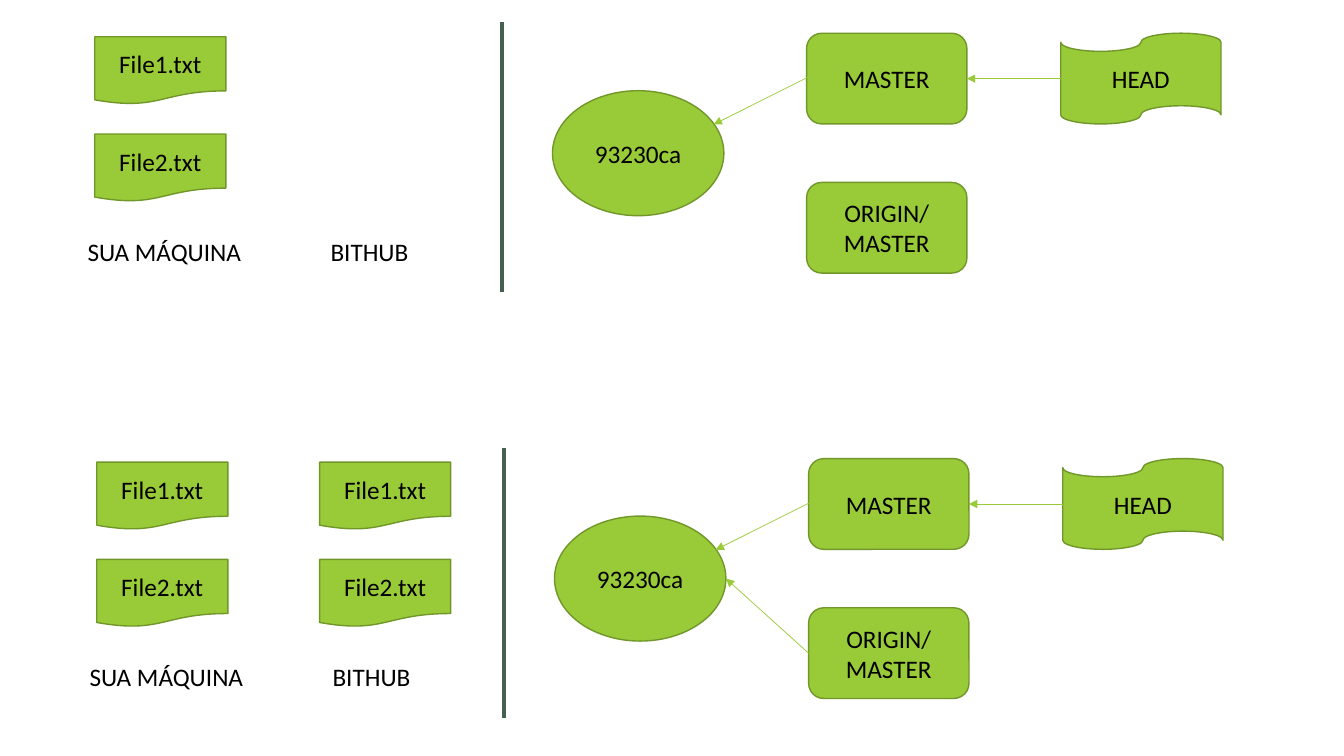
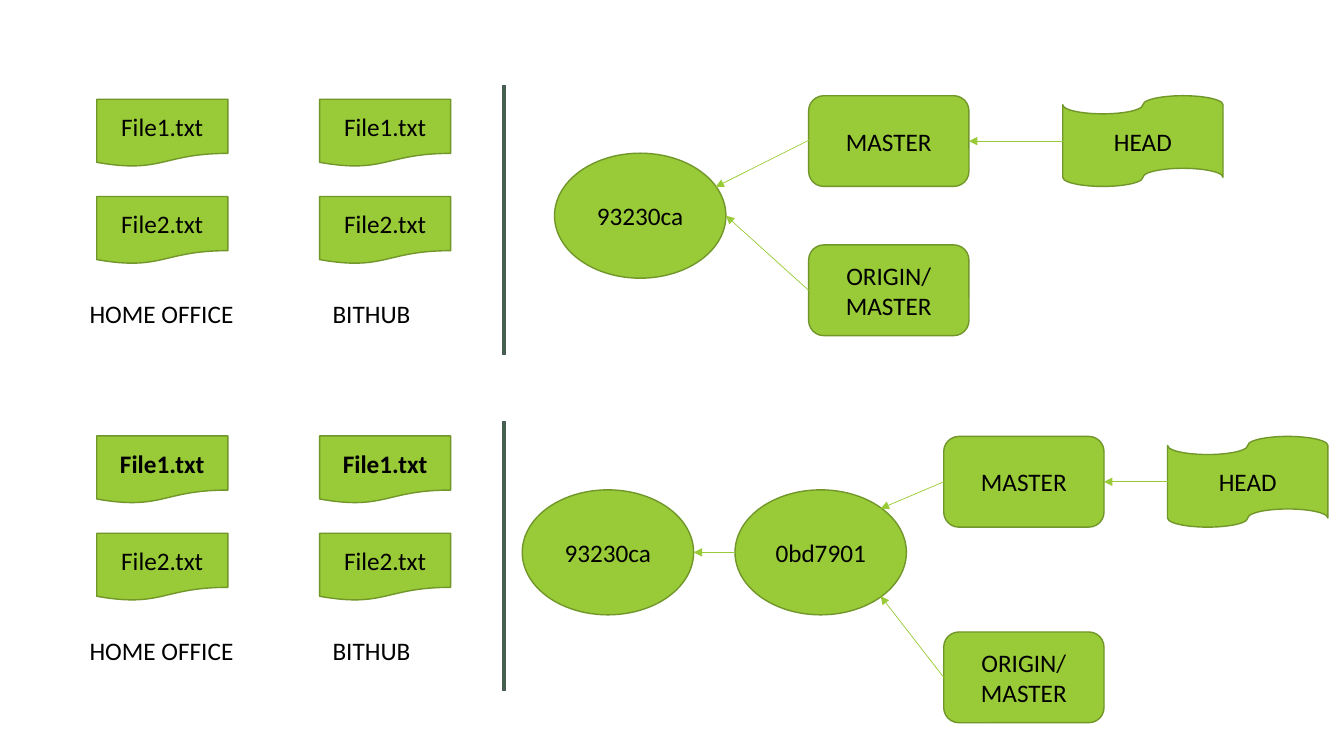
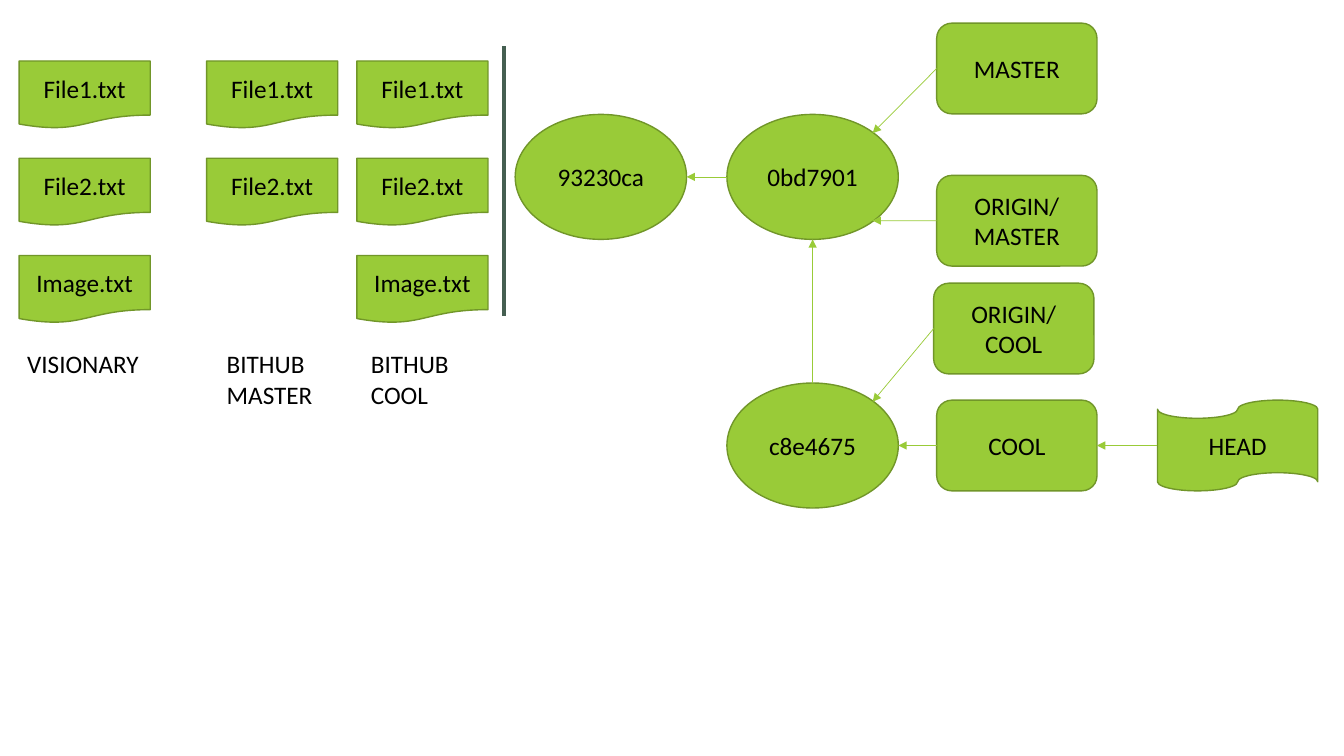
from dataclasses import dataclass, field
from typing import NamedTuple

from lxml.etree import SubElement
from pptx import Presentation
from pptx.dml.color import RGBColor as Rgb
from pptx.enum.shapes import MSO_CONNECTOR as Link, MSO_SHAPE as Form
from pptx.enum.text import MSO_ANCHOR as Anchor, MSO_AUTO_SIZE as Fit, PP_ALIGN as Align
from pptx.oxml.ns import qn
from pptx.util import Emu, Inches, Pt

WIDE, HIGH = Inches(13.33), Inches(7.5)
COLS, ROWS = 133.3, 75
HUES = {"leaf": "99CB38", "edge": "719629", "rule": "455F51", "ink": "000000"}
FONT, SIZE = "Calibri", 18


class Kind(NamedTuple):
    form: Form
    wide: float
    high: float


FILE = Kind(Form.FLOWCHART_DOCUMENT, 13, 6.7)
REF = Kind(Form.ROUNDED_RECTANGLE, 15.9, 9)
HEAD = Kind(Form.FLOWCHART_PUNCHED_TAPE, 15.9, 9)
COMMIT = Kind(Form.OVAL, 17, 12.4)

SITES = {
    "left": (0, 0.5), "right": (1, 0.5), "top": (0.5, 0), "base": (0.5, 1),
    "upper": (0.85, 0.15), "lower": (0.85, 0.85),
    "inner": (0.07, 0.43), "rim": (0.94, 0.27),
}
FIRST, PITCH = 1.45, 9.65
RULE_X, RULE_H = 50, 26.8
TAG_H, LINE_H = 4, 3.1


class Node(NamedTuple):
    kind: Kind
    text: str
    x: float
    y: float

    def site(self, name: str) -> tuple[float, float]:
        across, down = SITES[name]
        return self.x + across * self.kind.wide, self.y + down * self.kind.high


class Stack(NamedTuple):
    x: float
    files: list[str]
    bold: str = ""


class Tag(NamedTuple):
    text: str
    x: float
    wide: float


class Arrow(NamedTuple):
    tail: str
    start: str
    tip: str
    end: str


@dataclass
class Panel:
    top: float
    stacks: list[Stack]
    tags: list[Tag]
    nodes: list[Node]
    arrows: list[Arrow]
    shift: float = 0
    drop: float = field(default=FIRST + 2 * PITCH)


def col(n: float) -> Emu:
    return Emu(round(WIDE * n / COLS))


def row(n: float) -> Emu:
    return Emu(round(HIGH * n / ROWS))


def hue(name: str) -> Rgb:
    return Rgb.from_string(HUES[name])


def write(frame, text: str, bold: bool = False, align: Align = Align.LEFT) -> None:
    para = frame.paragraphs[0]
    para.alignment = align
    for i, line in enumerate(text.split("\n")):
        if i:
            para.add_line_break()
        run = para.add_run()
        run.text = line
        font = run.font
        font.name, font.size, font.bold = FONT, Pt(SIZE), bold
        font.color.rgb = hue("ink")


def draw_node(slide, node: Node, bold: bool = False) -> None:
    kind = node.kind
    shape = slide.shapes.add_shape(
        kind.form, col(node.x), row(node.y), col(kind.wide), row(kind.high))
    shape.shadow.inherit = False
    shape.fill.solid()
    shape.fill.fore_color.rgb = hue("leaf")
    shape.line.color.rgb = hue("edge")
    shape.line.width = Pt(1)
    shape.text_frame.word_wrap = True
    shape.text_frame.vertical_anchor = Anchor.MIDDLE
    write(shape.text_frame, node.text, bold, Align.CENTER)


def draw_tag(slide, tag: Tag, x: float, y: float) -> None:
    high = TAG_H + LINE_H * tag.text.count("\n")
    box = slide.shapes.add_textbox(col(x), row(y), col(tag.wide), row(high))
    box.text_frame.word_wrap = False
    box.text_frame.auto_size = Fit.SHAPE_TO_FIT_TEXT
    write(box.text_frame, tag.text)


def draw_line(slide, start: tuple[float, float], end: tuple[float, float],
              tint: str, width: float, tip: bool = False) -> None:
    line = slide.shapes.add_connector(
        Link.STRAIGHT, col(start[0]), row(start[1]), col(end[0]), row(end[1]))
    line.line.color.rgb = hue(tint)
    line.line.width = Pt(width)
    if tip:
        SubElement(line.line._get_or_add_ln(), qn("a:tailEnd"), type="triangle")
    SubElement(line._element.spPr, qn("a:effectLst"))


def draw_panel(slide, panel: Panel) -> None:
    shift, top = panel.shift, panel.top
    for stack in panel.stacks:
        for i, name in enumerate(stack.files):
            node = Node(FILE, name, stack.x + shift, top + FIRST + i * PITCH)
            draw_node(slide, node, name == stack.bold)
    for tag in panel.tags:
        draw_tag(slide, tag, tag.x + shift, top + panel.drop)
    x = RULE_X + shift
    draw_line(slide, (x, top), (x, top + RULE_H), "rule", 2.75)
    placed = {n.text: n._replace(x=n.x + shift, y=n.y + top) for n in panel.nodes}
    for node in placed.values():
        draw_node(slide, node)
    for arrow in panel.arrows:
        draw_line(slide, placed[arrow.tail].site(arrow.start),
                  placed[arrow.tip].site(arrow.end), "leaf", 0.5, True)


PAIR = ["File1.txt", "File2.txt"]
TRIO = PAIR + ["Image.txt"]
BASE, NEXT, SIDE = "93230ca", "0bd7901", "c8e4675"
MAIN, FAR, COOL, FAR_COOL = "MASTER", "ORIGIN/\nMASTER", "COOL", "ORIGIN/\nCOOL"

NEAR_X, HUB_X = 9.6, 31.7
LOCAL, REMOTE = Stack(NEAR_X, PAIR), Stack(HUB_X, PAIR)
OWN = Tag("SUA MÁQUINA", 7.9, 17.4)
HOME = Tag("HOME OFFICE", 7.9, 16.4)
HUB = Tag("BITHUB", 32, 10)

SOLO = [
    Node(REF, MAIN, 80.2, 1.1), Node(REF, FAR, 80.2, 15.9),
    Node(HEAD, "HEAD", 105.4, 1.1), Node(COMMIT, BASE, 55, 6.8),
]
AHEAD = [Arrow("HEAD", "left", MAIN, "right"), Arrow(MAIN, "inner", BASE, "rim")]
SYNCED = AHEAD + [Arrow(FAR, "left", BASE, "right")]
CHAIN = [
    Arrow(NEXT, "left", BASE, "right"),
    Arrow(FAR, "left", NEXT, "lower"),
    Arrow(MAIN, "left", NEXT, "upper"),
]

DECK = [
    [
        Panel(2.2, [LOCAL], [OWN, HUB], SOLO, AHEAD, shift=-0.2),
        Panel(44.4, [LOCAL, REMOTE], [OWN, HUB], SOLO, SYNCED),
    ],
    [
        Panel(8.4, [LOCAL, REMOTE], [HOME, HUB], SOLO, SYNCED),
        Panel(
            41.8,
            [Stack(x, PAIR, PAIR[0]) for x in (NEAR_X, HUB_X)],
            [HOME, HUB],
            [
                Node(REF, MAIN, 93.6, 1.5), Node(REF, FAR, 93.6, 20.9),
                Node(HEAD, "HEAD", 115.8, 1.5),
                Node(COMMIT, BASE, 51.8, 6.8), Node(COMMIT, NEXT, 72.9, 6.8),
            ],
            CHAIN + [Arrow("HEAD", "left", MAIN, "right")],
        ),
    ],
    [
        Panel(
            4.6,
            [Stack(1.9, TRIO), Stack(20.5, PAIR), Stack(35.4, TRIO)],
            [
                Tag("VISIONARY", 1.7, 13.2),
                Tag("BITHUB\nMASTER", 21.5, 10.6),
                Tag("BITHUB\nCOOL", 35.8, 10),
            ],
            [
                Node(REF, MAIN, 92.9, -2.3), Node(REF, FAR, 92.9, 12.8),
                Node(REF, FAR_COOL, 92.6, 23.5), Node(REF, COOL, 92.9, 35.1),
                Node(HEAD, "HEAD", 114.8, 35.1),
                Node(COMMIT, BASE, 51.1, 6.75), Node(COMMIT, NEXT, 72.1, 6.75),
                Node(COMMIT, SIDE, 72.1, 33.4),
            ],
            CHAIN + [
                Arrow("HEAD", "left", COOL, "right"),
                Arrow(SIDE, "top", NEXT, "base"),
                Arrow(COOL, "left", SIDE, "right"),
                Arrow(FAR_COOL, "left", SIDE, "upper"),
            ],
            drop=29.5,
        ),
    ],
]

deck = Presentation()
deck.slide_width, deck.slide_height = WIDE, HIGH
for panels in DECK:
    page = deck.slides.add_slide(deck.slide_layouts[6])
    for panel in panels:
        draw_panel(page, panel)
deck.save("out.pptx")
